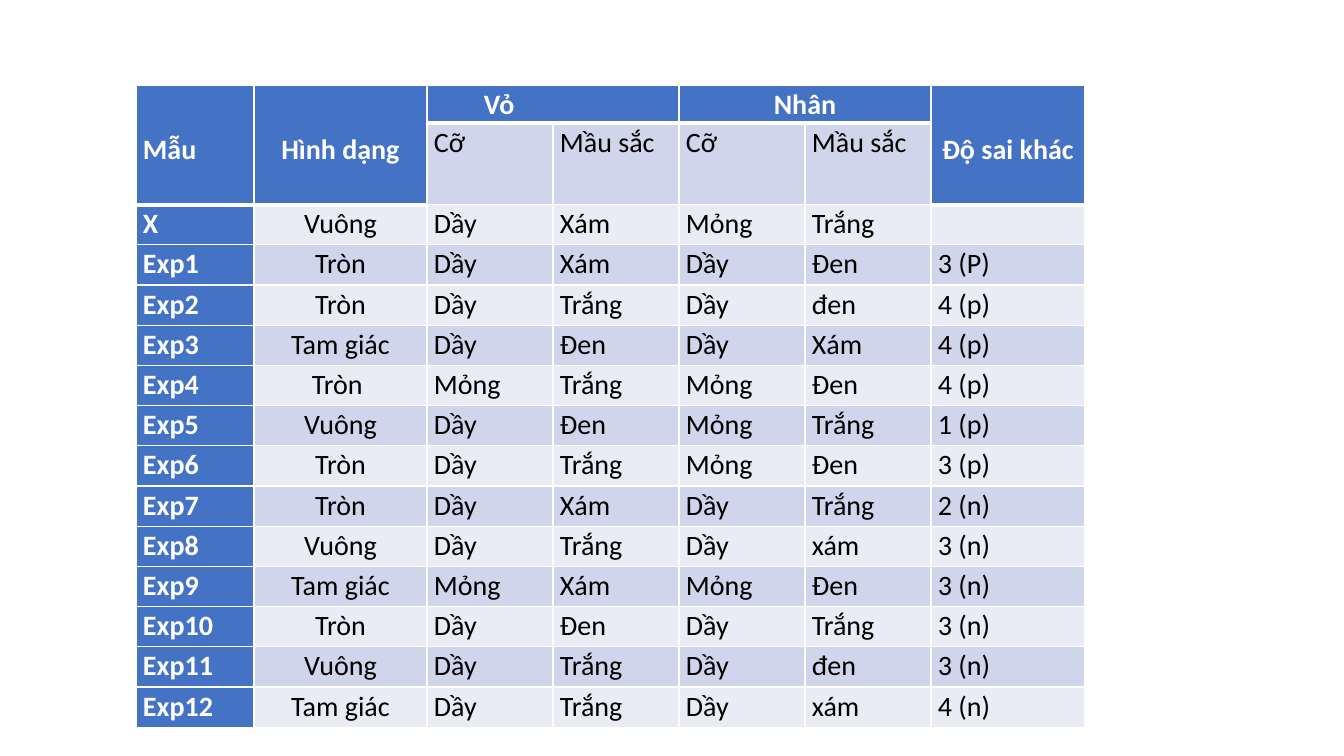
import pptx
import pptx.dml.color
import pptx.enum.text
import pptx.oxml
import pptx.util

SCALE = 914400 / 100.8  # EMU in one px
BLUE, MID, LIGHT = "4472C4", "CFD5EA", "E9EBF5"
WHITE, BLACK = "FFFFFF", "000000"
ALIGN = pptx.enum.text.PP_ALIGN


def px(length):
    return pptx.util.Emu(round(length * SCALE))


def write_cell(cell, text, fill, color=BLACK, bold=False, align=ALIGN.LEFT,
               top=0, indent=0, bottom_line=1):
    cell.margin_left = cell.margin_right = px(7)
    cell.margin_top, cell.margin_bottom = px(top), 0
    # Borders come before the fill in the cell properties
    properties = cell._tc.get_or_add_tcPr()
    for side in "LRTB":
        width = pptx.util.Pt(bottom_line if side == "B" else 1)
        properties.append(pptx.oxml.parse_xml(
            f'<a:ln{side} xmlns:a="http://schemas.openxmlformats.org/drawingml/2006/main"'
            f' w="{width}"><a:solidFill><a:srgbClr val="{WHITE}"/></a:solidFill></a:ln{side}>'))
    cell.fill.solid()
    cell.fill.fore_color.rgb = pptx.dml.color.RGBColor.from_string(fill)
    para = cell.text_frame.paragraphs[0]
    para.alignment = align
    para.line_spacing = 1.07
    para.space_before = pptx.util.Pt(6)
    if indent:
        para._p.get_or_add_pPr().set("indent", str(px(indent)))
    if text:
        span = para.add_run()
        span.text = text
        span.font.name = "Calibri"
        span.font.size = pptx.util.Pt(20)
        span.font.bold = bold
        span.font.color.rgb = pptx.dml.color.RGBColor.from_string(color)


deck = pptx.Presentation()
deck.slide_width, deck.slide_height = px(1344), px(756)
page = deck.slides.add_slide(deck.slide_layouts[6])

# Contents of the table
group_heads = ["Mẫu", "Hình dạng", "Vỏ", "", "Nhân", "", "Độ sai khác"]
sub_heads = ["", "", "Cỡ", "Mầu sắc", "Cỡ", "Mầu sắc", ""]
samples = [line.split("|") for line in (
    "X|Vuông|Dầy|Xám|Mỏng|Trắng|",
    "Exp1|Tròn|Dầy|Xám|Dầy|Đen|3 (P)",
    "Exp2|Tròn|Dầy|Trắng|Dầy|đen|4 (p)",
    "Exp3|Tam giác|Dầy|Đen|Dầy|Xám|4 (p)",
    "Exp4|Tròn |Mỏng|Trắng|Mỏng|Đen|4 (p)",
    "Exp5|Vuông|Dầy|Đen|Mỏng|Trắng|1 (p)",
    "Exp6|Tròn|Dầy|Trắng|Mỏng|Đen|3 (p)",
    "Exp7|Tròn|Dầy|Xám|Dầy|Trắng|2 (n)",
    "Exp8|Vuông|Dầy|Trắng|Dầy|xám|3 (n)",
    "Exp9|Tam giác|Mỏng|Xám|Mỏng|Đen|3 (n)",
    "Exp10|Tròn|Dầy|Đen|Dầy|Trắng|3 (n)",
    "Exp11|Vuông|Dầy|Trắng|Dầy|đen|3 (n)",
    "Exp12|Tam giác|Dầy|Trắng|Dầy|xám|4 (n)",
)]

# Table frame, column widths and row heights
widths = [118, 173, 126, 126, 126, 126, 154]
head_heights, body_height = [38, 81], 523
frame = page.shapes.add_table(
    2 + len(samples), len(widths), px(136), px(85),
    px(sum(widths)), px(sum(head_heights) + body_height))
table = frame.table
for column, width in zip(table.columns, widths):
    column.width = px(width)
heights = head_heights + [body_height / len(samples)] * len(samples)
for row, height in zip(table.rows, heights):
    row.height = px(height)

# Header: tall cells span two rows, groups span two columns
tall_columns = (0, 1, 6)
for index, (group, sub) in enumerate(zip(group_heads, sub_heads)):
    tall = index in tall_columns
    write_cell(table.cell(0, index), group, BLUE, color=WHITE, bold=True,
               align=ALIGN.JUSTIFY if group in ("Mẫu", "Vỏ") else ALIGN.CENTER,
               top=45 if tall else 0, indent=50 if group == "Vỏ" else 0,
               bottom_line=3)
    write_cell(table.cell(1, index), sub, BLUE if tall else MID,
               bottom_line=3 if tall else 1)
for index in tall_columns:
    table.cell(0, index).merge(table.cell(1, index))
for index in (2, 4):
    table.cell(0, index).merge(table.cell(0, index + 1))

# Banded sample rows
for number, sample in enumerate(samples):
    band = MID if number % 2 else LIGHT
    for index, text in enumerate(sample):
        first = index == 0
        write_cell(table.cell(number + 2, index), text, BLUE if first else band,
                   color=WHITE if first else BLACK, bold=first,
                   align=ALIGN.CENTER if index == 1 else ALIGN.LEFT)

deck.save("out.pptx")
